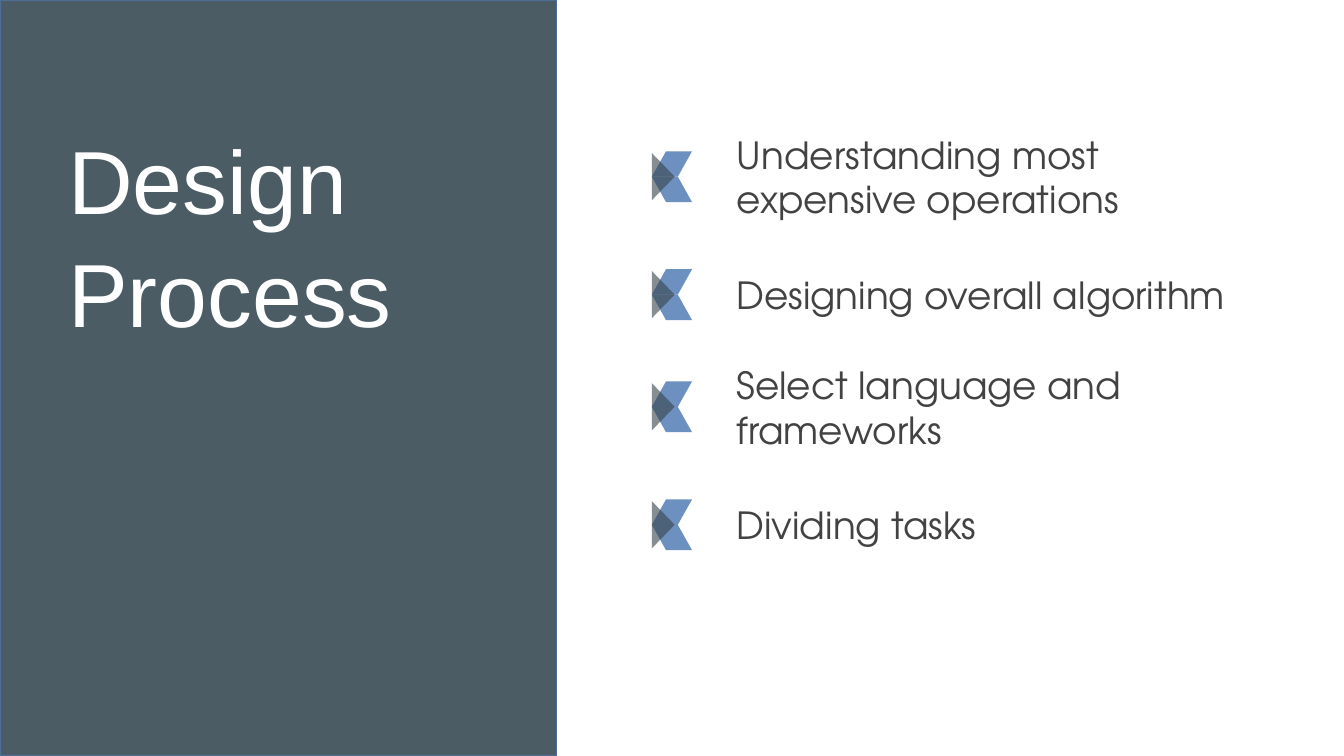
from lxml.etree import SubElement
from pptx import Presentation
from pptx.dml.color import RGBColor
from pptx.enum.shapes import MSO_SHAPE
from pptx.enum.text import MSO_ANCHOR, MSO_AUTO_SIZE, PP_ALIGN
from pptx.oxml.ns import qn
from pptx.util import Cm, Pt

COLORS = {
    "panel": "4C5C64",
    "panel_line": "4E6E9A",
    "title": "FFFFFF",
    "blade": "5E85B9",
    "tip": "38444A",
    "text": "424242",
}
TITLE_FONT = "Arial"
BODY_FONT = "TeX Gyre Adventor"

# Steps with the vertical centre of each row, in cm
STEPS = [
    ("Understanding most expensive operations", 3.34),
    ("Designing overall algorithm", 5.57),
    ("Select language and frameworks", 7.69),
    ("Dividing tasks", 9.92),
]


class SlideBuilder:
    def __init__(self, slide):
        self.s = slide

    def color(self, name):
        return RGBColor.from_string(COLORS[name])

    def fill(self, sp, name, alpha=None):
        sp.shadow.inherit = False
        sp.fill.solid()
        sp.fill.fore_color.rgb = self.color(name)
        if alpha is not None:
            clr = sp.element.spPr.find(qn("a:solidFill"))[0]
            SubElement(clr, qn("a:alpha")).set("val", str(alpha * 1000))

    def format_text(self, tf, text, font, size, color):
        tf.text = text
        tf.word_wrap = True
        tf.auto_size = MSO_AUTO_SIZE.NONE
        tf.margin_left = tf.margin_right = Cm(0.25)
        tf.margin_top = tf.margin_bottom = Cm(0.25)
        p = tf.paragraphs[0]
        p.alignment = PP_ALIGN.LEFT
        r = p.runs[0]
        r.font.name = font
        r.font.size = Pt(size)
        r.font.color.rgb = self.color(color)

    def panel(self, width, height):
        sp = self.s.shapes.add_shape(MSO_SHAPE.RECTANGLE, 0, 0, width, height)
        self.fill(sp, "panel")
        sp.line.color.rgb = self.color("panel_line")
        sp.line.width = Pt(0.75)
        # Send behind the title placeholder
        self.s.shapes.element.insert(2, sp.element)

    def title(self, text, x, y, w, h):
        sp = self.s.shapes.title
        sp.left, sp.top, sp.width, sp.height = Cm(x), Cm(y), Cm(w), Cm(h)
        tf = sp.text_frame
        self.format_text(tf, text, TITLE_FONT, 48, "title")
        tf.vertical_anchor = MSO_ANCHOR.TOP
        tf.margin_top = Cm(0.36)
        tf.paragraphs[0].line_spacing = 1.05

    def label(self, text, x, center, w, h):
        sp = self.s.shapes.add_textbox(Cm(x), Cm(center - h / 2), Cm(w), Cm(h))
        self.format_text(sp.text_frame, text, BODY_FONT, 20, "text")
        sp.text_frame.vertical_anchor = MSO_ANCHOR.MIDDLE

    def marker(self, x, center):
        group = self.s.shapes.add_group_shape()

        def part(kind, left, top, w, h, adj, color, alpha):
            sp = group.shapes.add_shape(kind, Cm(left), Cm(top), Cm(w), Cm(h))
            sp.adjustments[0] = adj
            self.fill(sp, color, alpha)
            sp.line.fill.background()
            return sp

        # Two mirrored blades
        w, h = 0.76, 0.48
        for top, flipped in ((center - h, False), (center, True)):
            sp = part(MSO_SHAPE.PARALLELOGRAM, x, top, w, h, 0.56, "blade", 91)
            if flipped:
                sp.element.spPr.find(qn("a:xfrm")).set("flipH", "1")

        # Triangle turned to point right
        w, h = 0.89, 0.43
        tip = part(MSO_SHAPE.ISOSCELES_TRIANGLE, x + (h - w) / 2,
                   center - h / 2, w, h, 0.5, "tip", 60)
        tip.rotation = 90


def main():
    prs = Presentation()
    prs.slide_width, prs.slide_height = Cm(25.4), Cm(14.29)
    b = SlideBuilder(prs.slides.add_slide(prs.slide_layouts[5]))

    # Title panel
    b.panel(Cm(10.52), prs.slide_height)
    b.title("Design Process", 1.04, 1.9, 9.96, 4.9)

    # Process steps
    for text, center in STEPS:
        b.marker(12.32, center)
        b.label(text, 13.67, center, 9.78, 1.3)

    prs.save("out.pptx")


if __name__ == "__main__":
    main()
